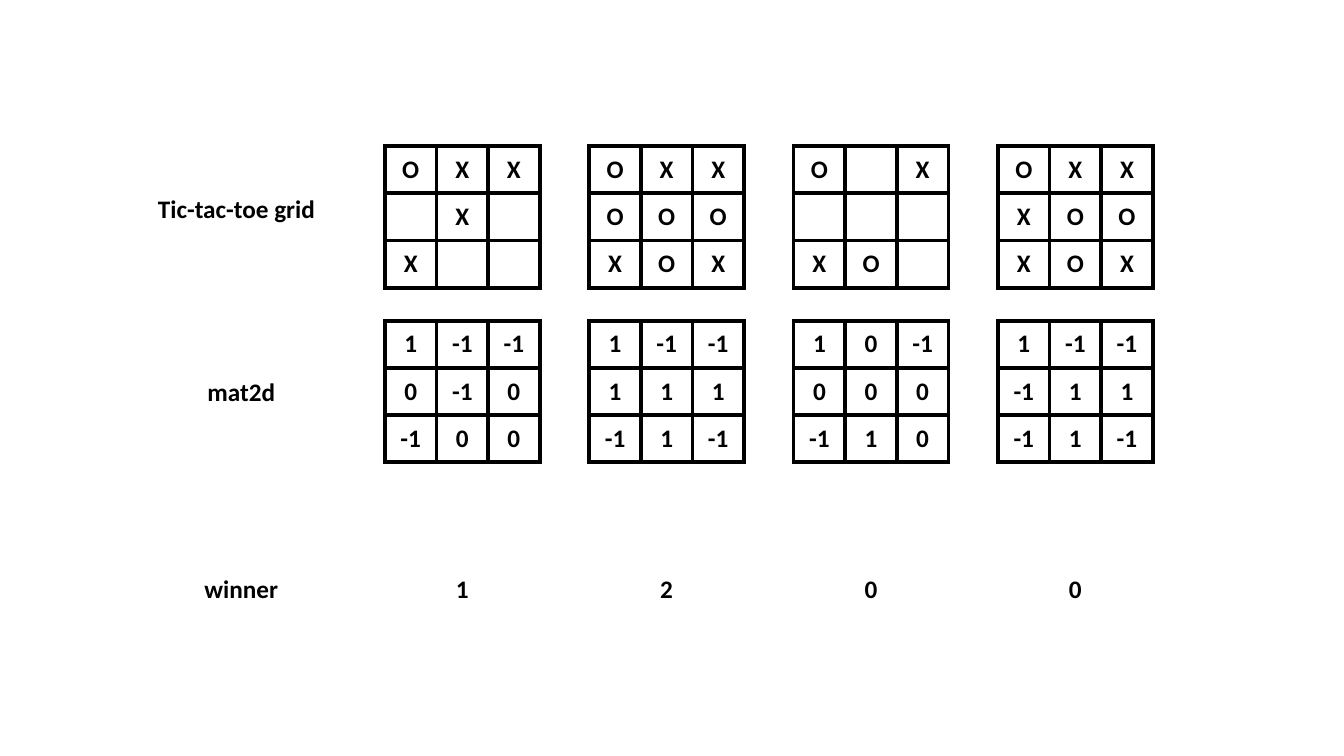
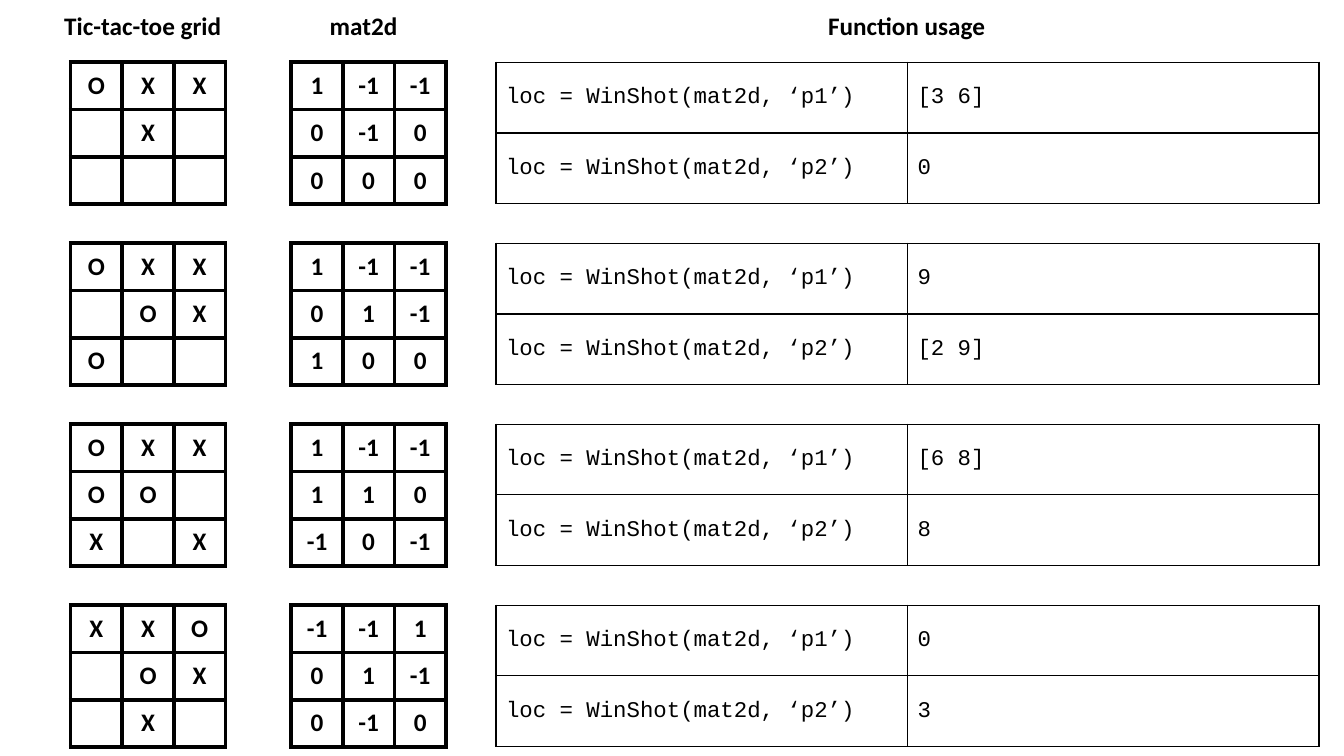
from lxml import etree
from pptx import Presentation
from pptx.dml.color import RGBColor
from pptx.enum.text import MSO_ANCHOR, PP_ALIGN
from pptx.oxml.ns import qn
from pptx.util import Cm, Pt

BLACK = RGBColor(0x00, 0x00, 0x00)
BODY_FONT, CODE_FONT = "Calibri", "Courier New"
BOARD_CELL = (1.3, 1.19)
USAGE_CELL = (10.37, 1.78)
LABEL_WIDTH, LABEL_HEIGHT = 4.7, 1.02
MARK_VALUES = {"O": "1", "X": "-1", " ": "0"}

# Each board is three rows of marks; a space is an empty square.
FINISHED_GAMES = [
    (("OXX", " X ", "X  "), "1"),
    (("OXX", "OOO", "XOX"), "2"),
    (("O X", "   ", "XO "), "0"),
    (("OXX", "XOO", "XOX"), "0"),
]
WINNING_SHOTS = [
    (("OXX", " X ", "   "), ("[3 6]", "0")),
    (("OXX", " OX", "O  "), ("9", "[2 9]")),
    (("OXX", "OO ", "X X"), ("[6 8]", "8")),
    (("XXO", " OX", " X "), ("0", "3")),
]


class Deck:
    """Holds the shared style and the current slide."""

    def __init__(self):
        """Start an empty widescreen presentation."""
        self.prs = Presentation()
        self.prs.slide_width, self.prs.slide_height = Cm(33.87), Cm(19.05)
        self.slide = None

    def new_slide(self):
        """Add a blank slide and make it current."""
        self.slide = self.prs.slides.add_slide(self.prs.slide_layouts[6])

    def add_text(self, frame, text, align, font=BODY_FONT, size=18, bold=True):
        """Put one styled run into a text frame."""
        paragraph = frame.paragraphs[0]
        paragraph.alignment = align
        run = paragraph.add_run()
        run.text = text
        run.font.name, run.font.size, run.font.bold = font, Pt(size), bold
        run.font.color.rgb = BLACK

    def label(self, left, top, text, align=PP_ALIGN.CENTER):
        """Add a bold one-line label."""
        box = self.slide.shapes.add_textbox(
            Cm(left), Cm(top), Cm(LABEL_WIDTH), Cm(LABEL_HEIGHT))
        box.text_frame.word_wrap = True
        self.add_text(box.text_frame, text, align)

    def border(self, cell, points):
        """Draw a black line on all four sides of a cell."""
        properties = cell._tc.get_or_add_tcPr()
        for index, side in enumerate(("a:lnL", "a:lnR", "a:lnT", "a:lnB")):
            line = etree.Element(qn(side), w=str(Pt(points)))
            fill = etree.SubElement(line, qn("a:solidFill"))
            etree.SubElement(fill, qn("a:srgbClr"), val=str(BLACK))
            properties.insert(index, line)

    def table(self, left, top, rows, cell_size, line, align, **style):
        """Add an unfilled table of equal cells with lines all round."""
        width, height = cell_size
        row_count, column_count = len(rows), len(rows[0])
        table = self.slide.shapes.add_table(
            row_count, column_count, Cm(left), Cm(top),
            Cm(width * column_count), Cm(height * row_count)).table
        table.first_row = table.horz_banding = False
        for row, texts in enumerate(rows):
            for column, text in enumerate(texts):
                cell = table.cell(row, column)
                cell.vertical_anchor = MSO_ANCHOR.MIDDLE
                cell.fill.background()
                self.border(cell, line)
                if text.strip():
                    self.add_text(cell.text_frame, text, align, **style)

    def board(self, left, top, rows):
        """Add a three by three board with thick lines."""
        self.table(left, top, rows, BOARD_CELL, 3, PP_ALIGN.CENTER)

    def matrix(self, left, top, marks):
        """Add the numeric board that encodes the marks."""
        self.board(left, top, [[MARK_VALUES[m] for m in row] for row in marks])

    def usage(self, left, top, results):
        """Add the calls for both players with their results."""
        rows = [(f"loc = WinShot(mat2d, ‘p{player}’)", result)
                for player, result in enumerate(results, 1)]
        self.table(left, top, rows, USAGE_CELL, 1, PP_ALIGN.LEFT,
                   font=CODE_FONT, size=16, bold=False)


def winner_slide(deck):
    """Show finished games in columns with their winners."""
    label_left, board_left, column_step = 3.73, 9.7, 5.15
    winner_top = 14.33
    label_inset = (LABEL_WIDTH - 3 * BOARD_CELL[0]) / 2
    deck.new_slide()
    for column, (marks, winner) in enumerate(FINISHED_GAMES):
        left = board_left + column * column_step
        deck.board(left, 3.68, marks)
        deck.matrix(left, 8.08, marks)
        deck.label(left - label_inset, winner_top, winner)
    deck.label(label_left, 4.75, "Tic-tac-toe grid", PP_ALIGN.LEFT)
    deck.label(label_left, 9.35, "mat2d")
    deck.label(label_left, winner_top, "winner")


def winning_shot_slide(deck):
    """Show open games in rows with the function calls."""
    header_top, first_top, row_step = 0.13, 1.57, 4.56
    deck.new_slide()
    deck.label(1.37, header_top, "Tic-tac-toe grid", PP_ALIGN.LEFT)
    deck.label(6.81, header_top, "mat2d")
    deck.label(20.5, header_top, "Function usage")
    for row, (marks, results) in enumerate(WINNING_SHOTS):
        top = first_top + row * row_step
        deck.board(1.78, top, marks)
        deck.matrix(7.34, top, marks)
        deck.usage(12.5, top, results)


deck = Deck()
winner_slide(deck)
winning_shot_slide(deck)
deck.prs.save("out.pptx")
